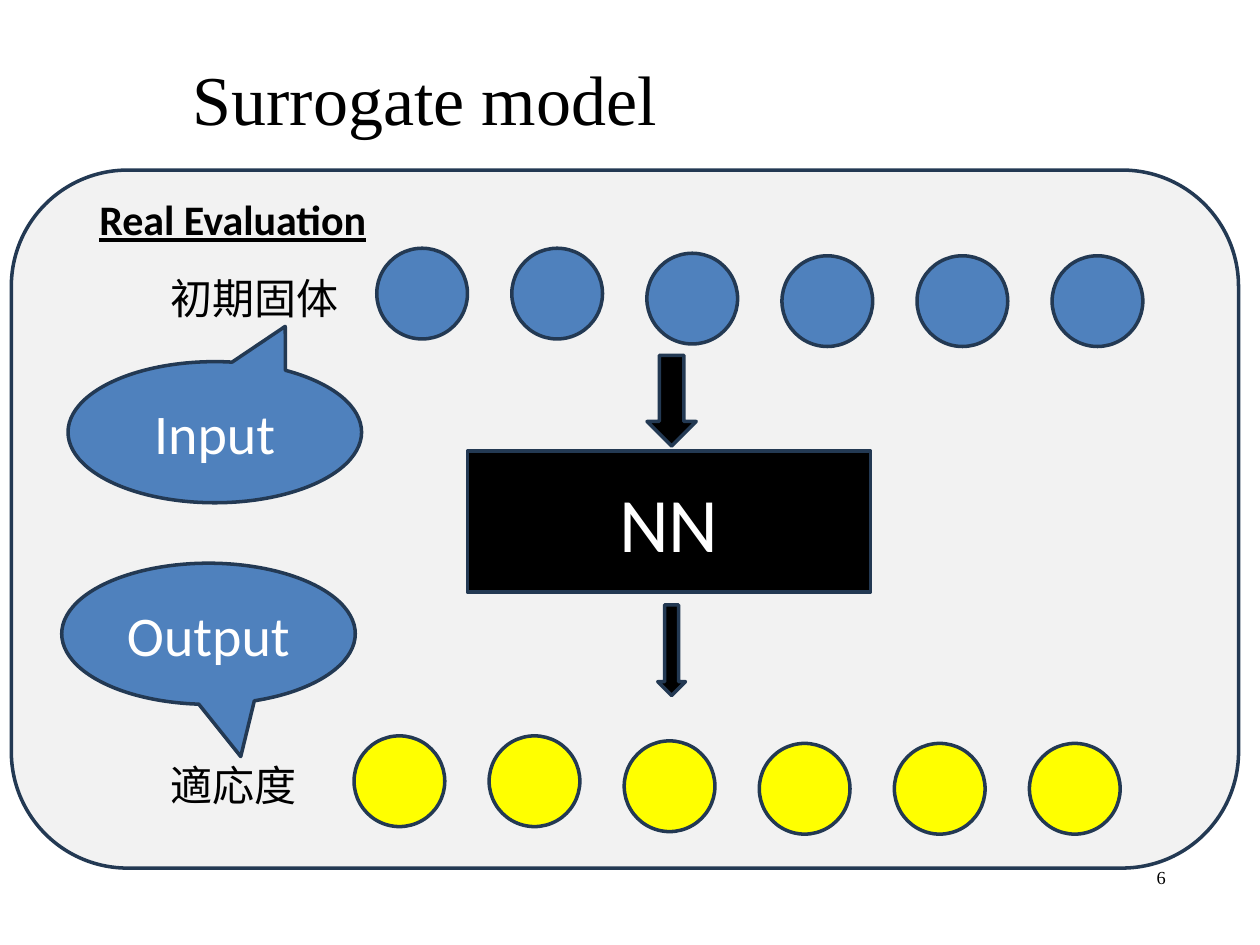
"""Build the slide showing a neural network as a surrogate evaluation model."""
import lxml.etree
import pptx
import pptx.dml.color
import pptx.enum.shapes
import pptx.enum.text
import pptx.oxml.ns
import pptx.util

Inches = pptx.util.Inches
MSO_SHAPE = pptx.enum.shapes.MSO_SHAPE
ANCHOR = pptx.enum.text.MSO_ANCHOR
ALIGN = pptx.enum.text.PP_ALIGN
BLUE, YELLOW, BLACK, WHITE, GREY, NAVY = (
    "4F81BD", "FFFF00", "000000", "FFFFFF", "F2F2F2", "233953")


def write_text(shape, text, size, font="Calibri", color=BLACK, bold=False, underline=False,
               align=ALIGN.LEFT, anchor=ANCHOR.TOP, insets=(0, 0), line_spacing=None):
    frame = shape.text_frame
    frame.word_wrap = True
    frame.auto_size = pptx.enum.text.MSO_AUTO_SIZE.NONE
    frame.vertical_anchor = anchor
    frame.margin_left = frame.margin_right = Inches(insets[0])
    frame.margin_top = frame.margin_bottom = Inches(insets[1])
    paragraph = frame.paragraphs[0]
    paragraph.alignment = align
    if line_spacing:
        paragraph.line_spacing = pptx.util.Pt(line_spacing)
    run = paragraph.add_run()
    run.text = text
    run.font.size = pptx.util.Pt(size)
    run.font.bold = bold
    run.font.underline = underline
    run.font.color.rgb = pptx.dml.color.RGBColor.from_string(color)
    run.font.name = font
    lxml.etree.SubElement(run.font._element, pptx.oxml.ns.qn("a:ea"), typeface=font)


def add_outlined(kind, left, top, width, height, fill):
    shape = slide.shapes.add_shape(
        kind, Inches(left), Inches(top), Inches(width), Inches(height))
    shape.shadow.inherit = False
    shape.fill.solid()
    shape.fill.fore_color.rgb = pptx.dml.color.RGBColor.from_string(fill)
    shape.line.color.rgb = pptx.dml.color.RGBColor.from_string(NAVY)
    shape.line.width = pptx.util.Pt(2)
    return shape


presentation = pptx.Presentation()
presentation.slide_width, presentation.slide_height = Inches(10), Inches(7.5)
slide = presentation.slides.add_slide(presentation.slide_layouts[5])

title = slide.shapes.title
title.left, title.top = Inches(1.53), Inches(0.44)
title.width, title.height = Inches(6.29), Inches(0.67)
write_text(title, "Surrogate model", 40, font="Times New Roman")

add_outlined(MSO_SHAPE.ROUNDED_RECTANGLE, 0.09, 1.35, 9.74, 5.54, GREY)

labels = [
    ("Real Evaluation", 0.69, 1.49, 4.24, 0.5,
     dict(size=24, bold=True, underline=True, insets=(0.1, 0.05))),
    ("初期固体", 1.35, 2.16, 1.46, 0.4, dict(size=24, font="Noto Sans CJK JP")),
    ("適応度", 1.35, 6.03, 1.46, 0.4, dict(size=24, font="Noto Sans CJK JP")),
    ("6", 9.11, 6.88, 0.29, 0.17,
     dict(size=10.5, font="Times New Roman", insets=(0.07, 0), line_spacing=12.2)),
]
for text, left, top, width, height, text_format in labels:
    label = slide.shapes.add_textbox(Inches(left), Inches(top), Inches(width), Inches(height))
    write_text(label, text, **text_format)

circle_drops = [0, 0, 0.04, 0.06, 0.06, 0.06]
for row_left, row_top, fill in [(2.99, 1.97, BLUE), (2.81, 5.84, YELLOW)]:
    for column, drop in enumerate(circle_drops):
        add_outlined(MSO_SHAPE.OVAL, row_left + 1.072 * column, row_top + drop, 0.72, 0.72, fill)

centred = dict(color=WHITE, align=ALIGN.CENTER, anchor=ANCHOR.MIDDLE, insets=(0.1, 0.05))
network = add_outlined(MSO_SHAPE.RECTANGLE, 3.71, 3.58, 3.2, 1.12, BLACK)
write_text(network, "NN", 44, **centred)

for top, width in [(2.82, 0.39), (4.8, 0.22)]:
    add_outlined(MSO_SHAPE.DOWN_ARROW, 5.33 - width / 2, top, width, 0.72, BLACK)

callouts = [("Input", 0.54, 2.87, 0.24, -0.75), ("Output", 0.49, 4.47, 0.11, 0.87)]
for text, left, top, tip_x, tip_y in callouts:
    callout = add_outlined(MSO_SHAPE.OVAL_CALLOUT, left, top, 2.33, 1.12, BLUE)
    callout.adjustments[0], callout.adjustments[1] = tip_x, tip_y
    write_text(callout, text, 32, **centred)

presentation.save("out.pptx")
